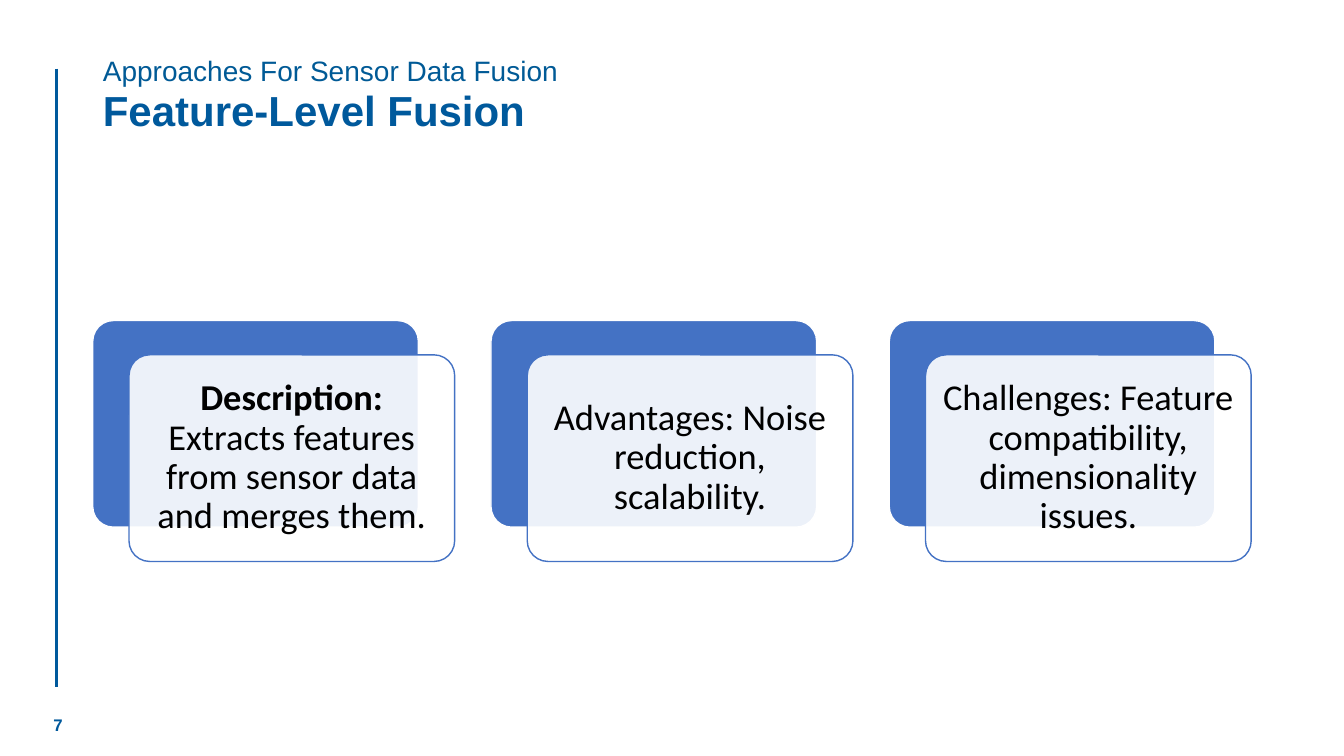
from dataclasses import dataclass

from lxml.etree import SubElement
from pptx import Presentation
from pptx.dml.color import RGBColor
from pptx.enum.shapes import MSO_CONNECTOR as CONN, MSO_SHAPE as SHAPE
from pptx.enum.text import MSO_ANCHOR as ANCHOR, MSO_AUTO_SIZE as FIT, PP_ALIGN as ALIGN
from pptx.oxml.ns import qn
from pptx.util import Emu, Pt

NAVY, SUBTITLE, BLUE, WHITE, BLACK = "00599C", "005A96", "4472C4", "FFFFFF", "000000"
CARD_W, CARD_H, CARD_STEP = 323, 205, 395
CARD_LEFT, CARD_TOP = 92, 318
FRONT_DX, FRONT_DY = 36, 34


@dataclass
class Card:
    text: str
    lead: str = ""


CARDS = [
    Card(" Extracts features from sensor data and merges them.", "Description:"),
    Card("Advantages: Noise reduction, scalability."),
    Card("Challenges: Feature compatibility, dimensionality issues."),
]


def px(n: int) -> Emu:
    return Emu(n * 9144)


def rgb(color: str) -> RGBColor:
    return RGBColor.from_string(color)


def apply(target, values: dict) -> None:
    for name, value in values.items():
        setattr(target, name, value)


def place(sp, x: int, y: int, w: int, h: int) -> None:
    apply(sp, {"left": px(x), "top": px(y), "width": px(w), "height": px(h)})


def add_run(p, text: str, size: int, color: str, font: str = "Arial", bold: bool = False) -> None:
    r = p.add_run()
    r.text = text
    apply(r.font, {"size": Pt(size), "name": font, "bold": bold})
    r.font.color.rgb = rgb(color)


def add_panel(slide, x: int, y: int, fill: str, line: str):
    sp = slide.shapes.add_shape(SHAPE.ROUNDED_RECTANGLE, px(x), px(y), px(CARD_W), px(CARD_H))
    sp.shadow.inherit = False
    sp.adjustments[0] = 0.1
    sp.fill.solid()
    sp.fill.fore_color.rgb = rgb(fill)
    sp.line.color.rgb = rgb(line)
    sp.line.width = Pt(1)
    return sp


def add_card(slide, card: Card, x: int) -> None:
    add_panel(slide, x, CARD_TOP, BLUE, WHITE)
    sp = add_panel(slide, x + FRONT_DX, CARD_TOP + FRONT_DY, WHITE, BLUE)
    fill = sp.element.spPr.find(qn("a:solidFill"))
    SubElement(fill[0], qn("a:alpha"), val="90000")
    tf = sp.text_frame
    apply(tf, {"word_wrap": True, "vertical_anchor": ANCHOR.MIDDLE})
    apply(tf, {f"margin_{side}": px(11) for side in ("left", "top", "right", "bottom")})
    p = tf.paragraphs[0]
    apply(p, {"alignment": ALIGN.CENTER, "line_spacing": 0.9})
    if card.lead:
        add_run(p, card.lead, 26, BLACK, "Calibri", True)
    add_run(p, card.text, 26, BLACK, "Calibri")


def add_heading(sp, text: str, top: int, height: int, size: int, color: str,
                anchor: ANCHOR, bold: bool) -> None:
    place(sp, 92, top, 1108, height)
    tf = sp.text_frame
    apply(tf, {"word_wrap": True, "auto_size": FIT.NONE, "vertical_anchor": anchor})
    p = tf.paragraphs[0]
    pPr = p._p.get_or_add_pPr()
    pPr.set("marL", "0")
    pPr.set("indent", "0")
    SubElement(pPr, qn("a:buNone"))
    apply(p, {"alignment": ALIGN.LEFT, "line_spacing": 0.9, "space_before": Pt(0)})
    add_run(p, text, size, color, bold=bold)


def add_side_line(slide) -> None:
    line = slide.shapes.add_connector(CONN.STRAIGHT, px(56), px(68), px(56), px(682))
    line.line.color.rgb = rgb(NAVY)
    line.line.width = Pt(2.25)
    SubElement(line.element.spPr, qn("a:effectLst"))


def add_page_number(slide, number: str) -> None:
    tf = slide.shapes.add_textbox(px(43), px(698), px(282), px(43)).text_frame
    apply(tf, {"word_wrap": True, "vertical_anchor": ANCHOR.MIDDLE})
    add_run(tf.paragraphs[0], number, 12, NAVY, bold=True)


def main() -> None:
    prs = Presentation()
    apply(prs, {"slide_width": px(1333), "slide_height": px(750)})
    slide = prs.slides.add_slide(prs.slide_layouts[1])
    add_side_line(slide)
    for i, card in enumerate(CARDS):
        add_card(slide, card, CARD_LEFT + i * CARD_STEP)
    add_page_number(slide, "7")
    add_heading(slide.shapes.title, "Feature-Level Fusion", 73, 78, 30, NAVY, ANCHOR.MIDDLE, True)
    add_heading(slide.placeholders[1], "Approaches For Sensor Data Fusion", 52, 55, 20, SUBTITLE,
                ANCHOR.TOP, False)
    prs.save("out.pptx")


if __name__ == "__main__":
    main()
